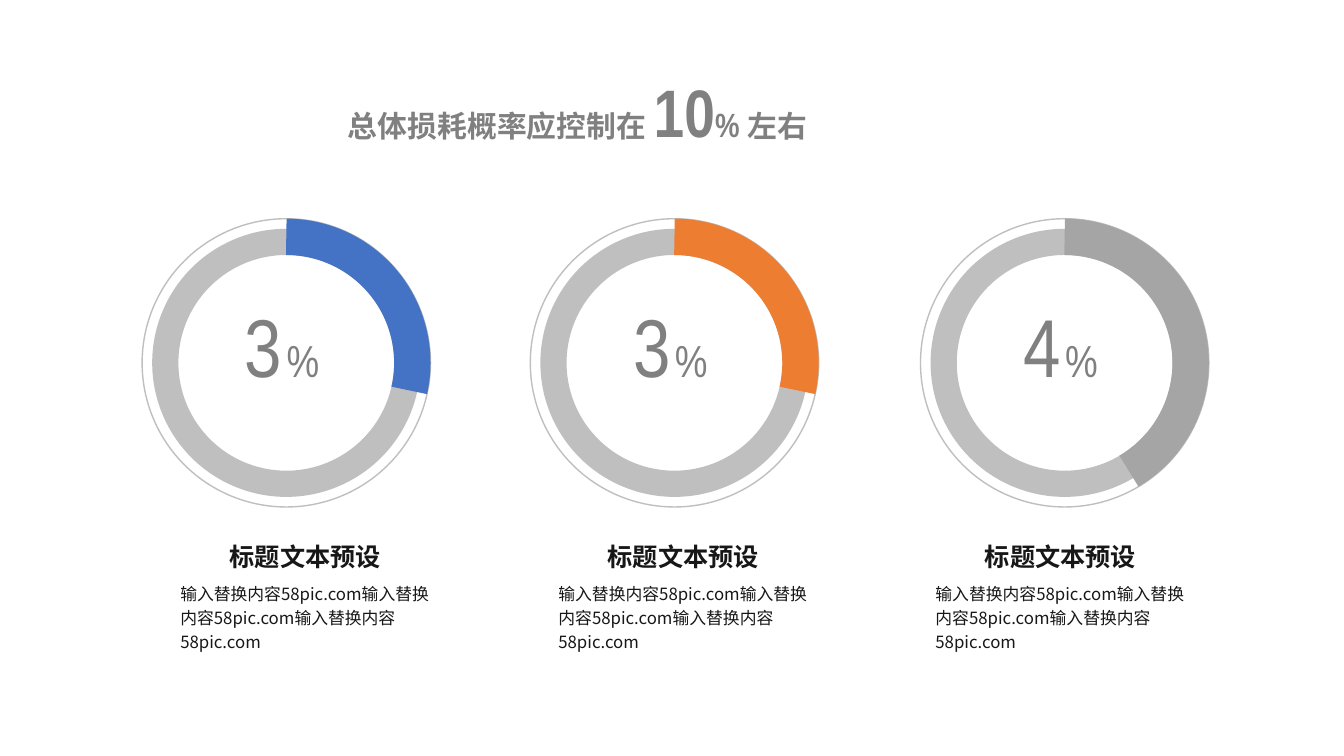
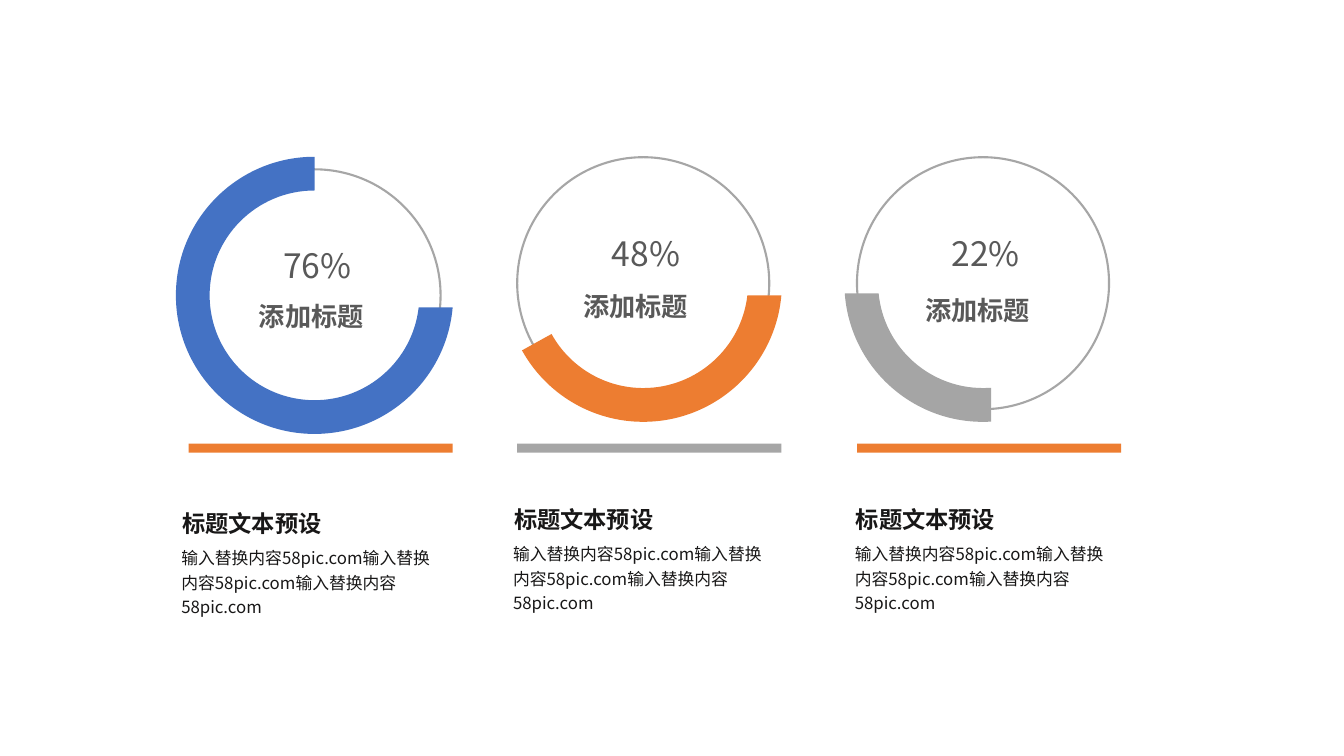
"""Build two slides of ring gauges with captions."""
from dataclasses import dataclass
from math import asin, cos, degrees, radians, sin, tan

from lxml.etree import SubElement
from pptx import Presentation
from pptx.dml.color import RGBColor
from pptx.enum.shapes import MSO_SHAPE
from pptx.enum.text import MSO_ANCHOR
from pptx.oxml.ns import qn
from pptx.shapes.autoshape import Shape
from pptx.slide import Slide
from pptx.util import Inches, Pt

COLORS = {
    "blue": "4472C4",
    "orange": "ED7D31",
    "accent_gray": "A5A5A5",
    "line_gray": "A6A6A6",
    "track": "BFBFBF",
    "figure": "808080",
    "label": "595959",
    "ink": "181717",
}
CJK = "Noto Sans CJK SC"
NARROW = "Arial Narrow"
HEADING = "标题文本预设"
BODY = "输入替换内容58pic.com" * 3

Point = tuple[float, float]


@dataclass(frozen=True)
class Run:
    text: str
    size: float
    font: str = CJK


@dataclass(frozen=True)
class CaptionStyle:
    indent: float
    rise: float
    size: float
    heading_width: float
    body_height: float


@dataclass(frozen=True)
class LossRing:
    center: float
    figure: str
    end_angle: float
    color: str
    caption_left: float


@dataclass(frozen=True)
class Cut:
    angle: float
    offset: float = 0

    def at(self, radius: float) -> float:
        return self.angle + degrees(asin(self.offset / radius))


@dataclass(frozen=True)
class Gauge:
    center_x: float
    center_y: float
    figure: str
    label_left: float
    label_top: float
    start: Cut
    end: Cut
    color: str
    bar_color: str
    caption_left: float
    caption_top: float


LOSS_CAPTION = CaptionStyle(0.49, 0.38, 18, 2.4, 0.61)
GAUGE_CAPTION = CaptionStyle(0.01, 0.33, 16.6, 2.11, 0.54)
LOSS_RINGS = [
    LossRing(2.84, "3", 12.63, "blue", 1.69),
    LossRing(6.69, "3", 12.63, "orange", 5.44),
    LossRing(10.56, "4", 59.29, "accent_gray", 9.18),
]
GAUGES = [
    Gauge(3.12, 2.93, "76%", 2.47, 2.93, Cut(0, 0.12), Cut(270),
          "blue", "orange", 1.7, 5.35),
    Gauge(6.38, 2.81, "48%", 5.69, 2.83, Cut(0, 0.12), Cut(151),
          "orange", "line_gray", 4.99, 5.31),
    Gauge(9.75, 2.81, "22%", 9.08, 2.87, Cut(90, -0.08), Cut(180, -0.1),
          "accent_gray", "orange", 8.38, 5.31),
]


def rgb(color: str) -> RGBColor:
    return RGBColor.from_string(COLORS[color])


def paint(shape: Shape, fill: str = "", line: str = "", weight: float = 1) -> None:
    shape.shadow.inherit = False
    if fill:
        shape.fill.solid()
        shape.fill.fore_color.rgb = rgb(fill)
    else:
        shape.fill.background()
    if line:
        shape.line.color.rgb = rgb(line)
        shape.line.width = Pt(weight)
    else:
        shape.line.fill.background()


def add_round(slide: Slide, kind: MSO_SHAPE, center_x: float, center_y: float,
              diameter: float) -> Shape:
    return slide.shapes.add_shape(
        kind, Inches(center_x - diameter / 2), Inches(center_y - diameter / 2),
        Inches(diameter), Inches(diameter))


def add_text(slide: Slide, runs: list[Run], left: float, top: float, width: float,
             height: float, *, color: str, bold: bool = False, wrap: bool = True,
             inset: bool = True, tracking: int = 0, line_spacing: float = 1.0,
             anchor: MSO_ANCHOR = MSO_ANCHOR.TOP) -> None:
    frame = slide.shapes.add_textbox(
        Inches(left), Inches(top), Inches(width), Inches(height)).text_frame
    frame.word_wrap = wrap
    frame.vertical_anchor = anchor
    if not inset:
        frame.margin_left = frame.margin_right = 0
        frame.margin_top = frame.margin_bottom = 0
    paragraph = frame.paragraphs[0]
    paragraph.line_spacing = line_spacing
    for part in runs:
        run = paragraph.add_run()
        run.text = part.text
        run.font.size = Pt(part.size)
        run.font.bold = bold
        run.font.color.rgb = rgb(color)
        run.font.name = part.font
        properties = run.font._element
        SubElement(properties, qn("a:ea")).set("typeface", part.font)
        if tracking:
            properties.set("spc", str(tracking))


def add_caption(slide: Slide, left: float, top: float, style: CaptionStyle) -> None:
    add_text(slide, [Run(BODY, 12)], left, top, 2.77, style.body_height,
             color="ink", line_spacing=1.2)
    add_text(slide, [Run(HEADING, style.size)], left + style.indent,
             top - style.rise, style.heading_width, style.rise + 0.02,
             color="ink", bold=True, wrap=False, anchor=MSO_ANCHOR.MIDDLE)


def add_loss_ring(slide: Slide, ring: LossRing) -> None:
    middle = 3.6
    paint(add_round(slide, MSO_SHAPE.OVAL, ring.center, middle, 2.86), line="track")
    track = add_round(slide, MSO_SHAPE.DONUT, ring.center, middle, 2.66)
    track.adjustments[0] = 0.26 / 2.66
    paint(track, fill="track")
    add_text(slide, [Run(ring.figure, 58.67, NARROW), Run("%", 32, NARROW)],
             ring.center - 0.41, 2.93, 1.27, 0.99,
             color="figure", inset=False, tracking=300)
    share = add_round(slide, MSO_SHAPE.ARC, ring.center, middle, 2.5)
    for index, angle in enumerate((270, ring.end_angle)):
        share.adjustments[index] = angle * 0.6
    paint(share, line=ring.color, weight=26)


def curve_points(gauge: Gauge, radius: float) -> list[Point]:
    """Return the start of an arc, then two controls and an end per quadrant."""
    first, last = gauge.start.at(radius), gauge.end.at(radius)
    turns = [turn for turn in (90, 180, 270) if first < turn < last]
    angles = [radians(angle) for angle in (first, *turns, last)]

    def place(angle: float, pull: float = 0) -> Point:
        return (gauge.center_x + radius * (cos(angle) - pull * sin(angle)),
                gauge.center_y + radius * (sin(angle) + pull * cos(angle)))

    points = [place(angles[0])]
    for begin, end in zip(angles, angles[1:]):
        pull = 4 / 3 * tan((end - begin) / 4)
        points += [place(begin, pull), place(end, -pull), place(end)]
    return points


def add_band(slide: Slide, gauge: Gauge) -> None:
    outer = curve_points(gauge, 1.375)
    inner = curve_points(gauge, 1.04)[::-1]
    outline = [(Inches(x), Inches(y)) for x, y in outer + inner]
    builder = slide.shapes.build_freeform(*outline[0])
    builder.add_line_segments(outline[1:], close=True)
    band = builder.convert_to_shape()
    segments = list(band._element.iter(qn("a:lnTo")))
    join = len(outer) - 1
    curved = segments[:join] + segments[join + 1:join + len(inner)]
    for index in range(0, len(curved), 3):
        curve, *others = curved[index:index + 3]
        curve.tag = qn("a:cubicBezTo")
        for other in others:
            curve.append(other[0])
            other.getparent().remove(other)
    paint(band, fill=gauge.color)


def add_gauge(slide: Slide, gauge: Gauge) -> None:
    paint(add_round(slide, MSO_SHAPE.OVAL, gauge.center_x, gauge.center_y, 2.5),
          line="line_gray", weight=1.5)
    add_band(slide, gauge)
    add_text(slide, [Run(gauge.figure, 24)], gauge.center_x - 0.41,
             gauge.center_y - 0.55, 1.01, 0.57, color="label", wrap=False)
    add_text(slide, [Run("添加标题", 18.67)], gauge.label_left, gauge.label_top,
             1.41, 0.47, color="label", bold=True, wrap=False)
    bar = slide.shapes.add_shape(
        MSO_SHAPE.RECTANGLE, Inches(gauge.center_x - 1.25), Inches(4.4),
        Inches(2.62), Inches(0.09))
    paint(bar, fill=gauge.bar_color)


def build_loss_slide(slide: Slide) -> None:
    for ring in LOSS_RINGS:
        add_loss_ring(slide, ring)
    headline = [Run("总体损耗概率应控制在 ", 21.33), Run("10", 48, NARROW),
                Run("% ", 24, NARROW), Run("左右", 21.33)]
    add_text(slide, headline, 3.45, 0.7, 6.93, 0.81,
             color="figure", bold=True, inset=False)
    for ring in LOSS_RINGS:
        add_caption(slide, ring.caption_left, 5.7, LOSS_CAPTION)


def build_gauge_slide(slide: Slide) -> None:
    for gauge in GAUGES:
        add_gauge(slide, gauge)
    for gauge in GAUGES:
        add_caption(slide, gauge.caption_left, gauge.caption_top, GAUGE_CAPTION)


def main() -> None:
    deck = Presentation()
    deck.slide_width, deck.slide_height = Inches(13.33), Inches(7.5)
    for build in (build_loss_slide, build_gauge_slide):
        build(deck.slides.add_slide(deck.slide_layouts[6]))
    deck.save("out.pptx")


if __name__ == "__main__":
    main()
